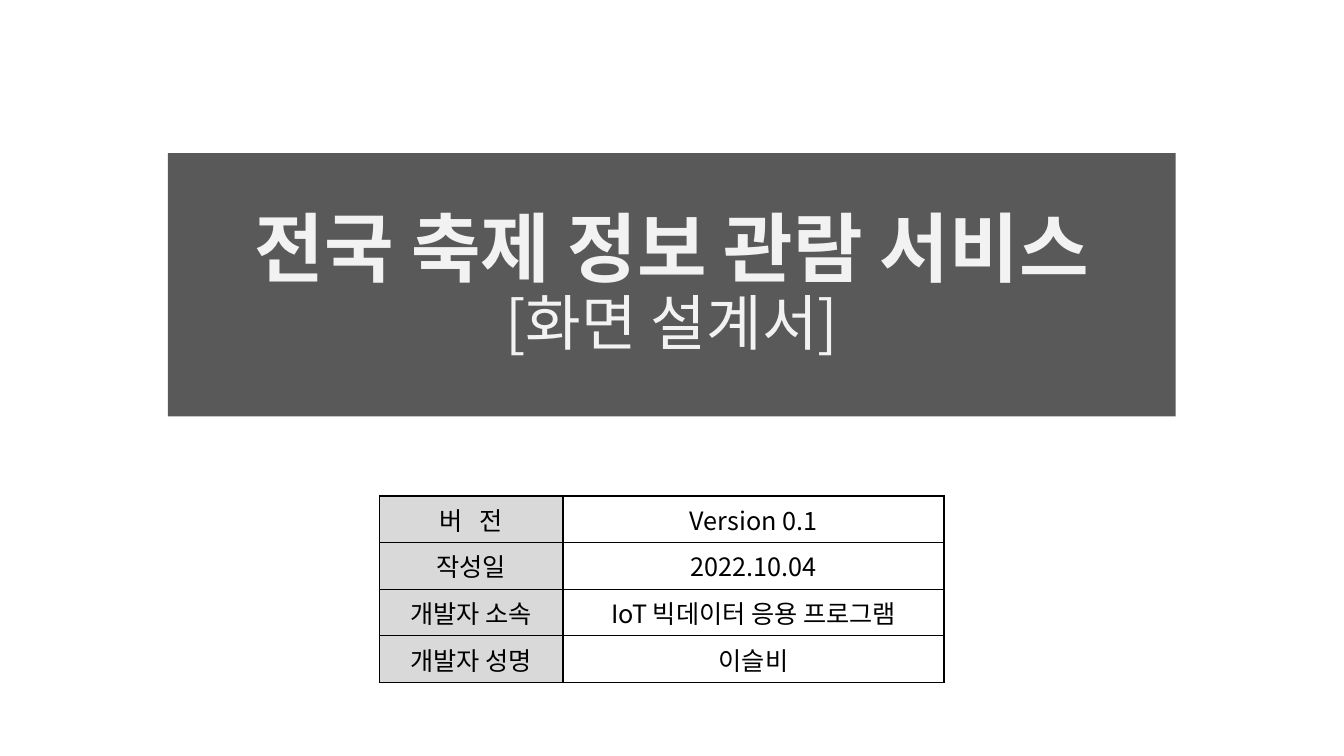
from pptx import Presentation
from pptx.dml.color import RGBColor
from pptx.enum.text import MSO_ANCHOR, MSO_AUTO_SIZE, PP_ALIGN
from pptx.oxml import parse_xml
from pptx.oxml.ns import nsdecls, qn
from pptx.util import Cm, Pt
from lxml.etree import SubElement

BLACK = RGBColor(0x00, 0x00, 0x00)
BANNER_GRAY = RGBColor(0x59, 0x59, 0x59)
TITLE_WHITE = RGBColor(0xF2, 0xF2, 0xF2)
LABEL_GRAY = RGBColor(0xD9, 0xD9, 0xD9)


class CoverSlide:
    """Holds the style and the slide, and adds its elements."""

    font_name = "Noto Sans CJK KR"
    table_size = 18

    def __init__(self, presentation):
        self.slide = presentation.slides.add_slide(presentation.slide_layouts[5])

    def add_run(self, paragraph, text, size, color, bold=False, spacing=0):
        run = paragraph.add_run()
        run.text = text
        run.font.name = self.font_name
        run.font.size = Pt(size)
        run.font.bold = bold
        run.font.color.rgb = color
        properties = run.font._element
        SubElement(properties, qn("a:ea")).set("typeface", self.font_name)
        if spacing:
            properties.set("spc", str(spacing * 100))

    def add_title(self, heading, subheading, left, top, width, height):
        title = self.slide.shapes.title
        title.left, title.top, title.width, title.height = left, top, width, height
        title.fill.solid()
        title.fill.fore_color.rgb = BANNER_GRAY
        frame = title.text_frame
        frame.auto_size = MSO_AUTO_SIZE.NONE
        frame.word_wrap = True
        frame.vertical_anchor = MSO_ANCHOR.MIDDLE
        paragraph = frame.paragraphs[0]
        paragraph.alignment = PP_ALIGN.CENTER
        paragraph.line_spacing = 0.9
        self.add_run(paragraph, heading, 54, TITLE_WHITE, bold=True)
        paragraph.add_line_break()
        self.add_run(paragraph, subheading, 43.2, TITLE_WHITE)

    def add_borders(self, cell):
        properties = cell._tc.get_or_add_tcPr()
        for side in ("lnL", "lnR", "lnT", "lnB"):
            properties.append(parse_xml(
                f'<a:{side} {nsdecls("a")} w="{Pt(1)}"><a:solidFill>'
                f'<a:srgbClr val="{BLACK}"/></a:solidFill></a:{side}>'))

    def fill_cell(self, cell, runs, fill):
        self.add_borders(cell)
        if fill is None:
            cell.fill.background()
        else:
            cell.fill.solid()
            cell.fill.fore_color.rgb = fill
        paragraph = cell.text_frame.paragraphs[0]
        paragraph.alignment = PP_ALIGN.CENTER
        for text, spacing in runs:
            self.add_run(paragraph, text, self.table_size, BLACK, spacing=spacing)

    def add_table(self, rows, left, top, column_widths, row_height):
        table = self.slide.shapes.add_table(
            len(rows), len(column_widths), left, top,
            sum(column_widths), row_height * len(rows)).table
        table.first_row = table.horz_banding = False
        for column, width in zip(table.columns, column_widths):
            column.width = width
        for row_index, (label, value) in enumerate(rows):
            self.fill_cell(table.cell(row_index, 0), label, LABEL_GRAY)
            self.fill_cell(table.cell(row_index, 1), [(value, 0)], None)


presentation = Presentation()
presentation.slide_width, presentation.slide_height = Cm(33.87), Cm(19.05)
cover = CoverSlide(presentation)

# Title banner
cover.add_title("전국 축제 정보 관람 서비스", "[화면 설계서]",
                Cm(4.23), Cm(3.86), Cm(25.4), Cm(6.63))

# Document details; the widened space spreads the two syllables of the first label
details = [
    ([("버", 0), (" ", 8), ("전", 0)], "Version 0.1"),
    ([("작성일", 0)], "2022.10.04"),
    ([("개발자 소속", 0)], "IoT 빅데이터 응용 프로그램"),
    ([("개발자 성명", 0)], "이슬비"),
]
cover.add_table(details, Cm(9.56), Cm(12.5), [Cm(4.63), Cm(9.6)], Cm(1.03))

presentation.save("out.pptx")
